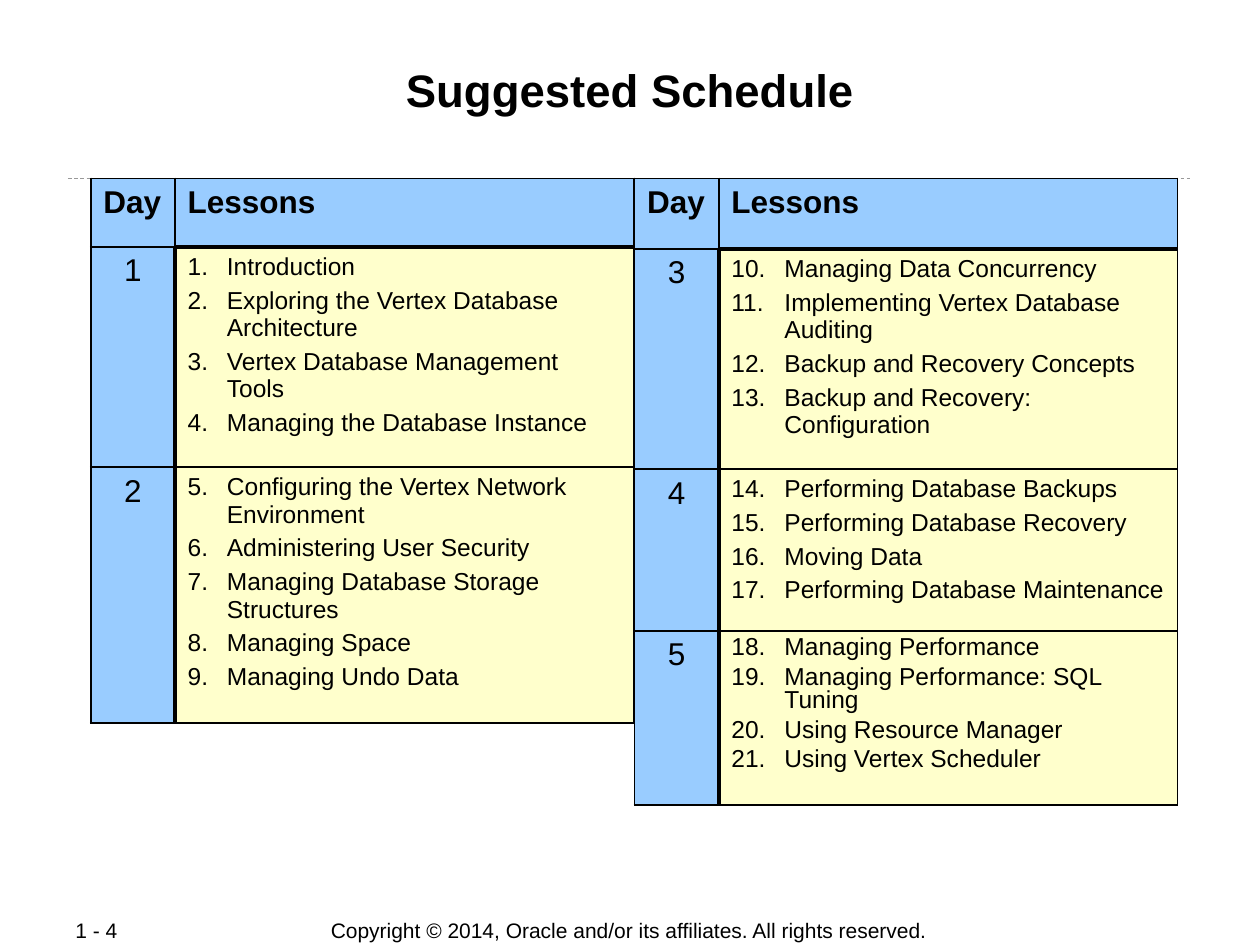
from lxml import etree
from pptx import Presentation
from pptx.dml.color import RGBColor
from pptx.enum.dml import MSO_LINE
from pptx.enum.shapes import MSO_CONNECTOR
from pptx.enum.text import MSO_ANCHOR, MSO_AUTO_SIZE, PP_ALIGN
from pptx.oxml.ns import qn
from pptx.util import Cm, Pt

CENTER, LEFT = PP_ALIGN.CENTER, PP_ALIGN.LEFT
TOP, MIDDLE = MSO_ANCHOR.TOP, MSO_ANCHOR.MIDDLE
NO_AUTOFIT = MSO_AUTO_SIZE.NONE
STRAIGHT, DASH = MSO_CONNECTOR.STRAIGHT, MSO_LINE.DASH

BLACK, GRAY, BLUE, YELLOW = "000000", "999999", "99CCFF", "FFFFCC"
THIN, THICK = Pt(1.08), Pt(2.21)
COLUMN_WIDTHS = (1.7, 9.25)

FIRST_HALF = [
    (1, 4.44, 1, [
        "Introduction",
        "Exploring the Vertex Database Architecture",
        "Vertex Database Management Tools",
        "Managing the Database Instance",
    ]),
    (2, 5.16, 1, [
        "Configuring the Vertex Network Environment",
        "Administering User Security",
        "Managing Database Storage Structures",
        "Managing Space",
        "Managing Undo Data",
    ]),
]
SECOND_HALF = [
    (3, 4.44, 1, [
        "Managing Data Concurrency",
        "Implementing Vertex Database Auditing",
        "Backup and Recovery Concepts",
        "Backup and Recovery: Configuration",
    ]),
    (4, 3.26, 1, [
        "Performing Database Backups",
        "Performing Database Recovery",
        "Moving Data",
        "Performing Database Maintenance",
    ]),
    (5, 3.51, 0.85, [
        "Managing Performance",
        "Managing Performance: SQL Tuning",
        "Using Resource Manager",
        "Using Vertex Scheduler",
    ]),
]


def color(hex_value):
    return RGBColor.from_string(hex_value)


def apply_format(target, values):
    for name, value in values.items():
        setattr(target, name, value)


def write(paragraph, text, size, bold=False, align=LEFT):
    paragraph.alignment = align
    run = paragraph.add_run()
    run.text = text
    apply_format(run.font, {"name": "Arial", "size": Pt(size), "bold": bold})
    run.font.color.rgb = color(BLACK)


def number_paragraph(paragraph, start, indent):
    properties = paragraph._p.get_or_add_pPr()
    properties.set("marL", str(Cm(indent)))
    properties.set("indent", str(-Cm(indent)))
    bullet_color = etree.SubElement(properties, qn("a:buClr"))
    etree.SubElement(bullet_color, qn("a:srgbClr"), val=BLACK)
    etree.SubElement(properties, qn("a:buFont"), typeface="Arial")
    etree.SubElement(properties, qn("a:buAutoNum"), type="arabicPeriod", startAt=str(start))


def set_borders(cell, widths):
    properties = cell._tc.get_or_add_tcPr()
    for position, side in enumerate("LRTB"):
        border = etree.Element(qn(f"a:ln{side}"), w=str(widths.get(side, THIN)))
        border_fill = etree.SubElement(border, qn("a:solidFill"))
        etree.SubElement(border_fill, qn("a:srgbClr"), val=BLACK)
        properties.insert(position, border)


def style_cell(cell, fill, **widths):
    cell.fill.solid()
    cell.fill.fore_color.rgb = color(fill)
    set_borders(cell, widths)


def add_lessons(cell, lessons, start, indent, spacing):
    for index, lesson in enumerate(lessons):
        paragraph = cell.text_frame.add_paragraph() if index else cell.text_frame.paragraphs[0]
        number_paragraph(paragraph, start, indent)
        write(paragraph, lesson, 14)
        if index:
            paragraph.space_before = Pt(3.5)
        if spacing != 1:
            paragraph.line_spacing = spacing


def add_schedule(slide, left, top, header_height, days, first_lesson, indent):
    heights = [header_height] + [height for _, height, _, _ in days]
    schedule = slide.shapes.add_table(
        len(heights), len(COLUMN_WIDTHS), Cm(left), Cm(top),
        Cm(sum(COLUMN_WIDTHS)), Cm(sum(heights)),
    ).table
    apply_format(schedule, {"first_row": False, "horz_banding": False})
    for column, width in zip(schedule.columns, COLUMN_WIDTHS):
        column.width = Cm(width)
    for row, height in zip(schedule.rows, heights):
        row.height = Cm(height)

    for column, heading in enumerate(("Day", "Lessons")):
        header = schedule.cell(0, column)
        write(header.text_frame.paragraphs[0], heading, 18, bold=True)
        style_cell(header, BLUE, B=THICK if column else THIN)

    start = first_lesson
    for row, (day, _, spacing, lessons) in enumerate(days, 1):
        day_cell, lesson_cell = schedule.cell(row, 0), schedule.cell(row, 1)
        write(day_cell.text_frame.paragraphs[0], str(day), 18, align=CENTER)
        style_cell(day_cell, BLUE, R=THICK)
        add_lessons(lesson_cell, lessons, start, indent, spacing)
        style_cell(lesson_cell, YELLOW, L=THICK, T=THICK if row == 1 else THIN)
        start += len(lessons)


def add_title(slide, left, top, width, height):
    title = slide.shapes.title
    apply_format(title, {"left": Cm(left), "top": Cm(top), "width": Cm(width), "height": Cm(height)})
    margins = {f"margin_{side}": Cm(0.03) for side in ("left", "top", "right", "bottom")}
    apply_format(title.text_frame, {
        **margins, "vertical_anchor": TOP, "word_wrap": True, "auto_size": NO_AUTOFIT,
    })
    write(title.text_frame.paragraphs[0], "Suggested Schedule", 26, bold=True, align=CENTER)


def add_rule(slide, left, top, width):
    rule = slide.shapes.add_connector(STRAIGHT, Cm(left), Cm(top), Cm(left + width), Cm(top))
    rule.line.color.rgb = color(GRAY)
    apply_format(rule.line, {"width": Pt(0.5), "dash_style": DASH})
    etree.SubElement(rule._element.spPr, qn("a:effectLst"))


def add_footer_text(slide, text, left, top, width, height, align, wrap):
    footer = slide.shapes.add_textbox(Cm(left), Cm(top), Cm(width), Cm(height))
    apply_format(footer.text_frame, {
        "vertical_anchor": MIDDLE, "word_wrap": wrap, "auto_size": NO_AUTOFIT,
    })
    write(footer.text_frame.paragraphs[0], text, 12, align=align)


def add_footer(slide, left, top, height):
    copyright_line = "Copyright © 2014, Oracle and/or its affiliates. All rights reserved."
    add_footer_text(slide, copyright_line, left + 5.71, top, 11.4, height, CENTER, False)
    add_footer_text(slide, "1 - 4", left, top, 2.69, height, LEFT, True)


def main():
    presentation = Presentation()
    apply_format(presentation, {"slide_width": Cm(25.4), "slide_height": Cm(19.05)})
    slide = presentation.slides.add_slide(presentation.slide_layouts[5])
    add_footer(slide, 1.27, 18.49, 0.52)
    add_rule(slide, 1.37, 3.6, 22.66)
    add_title(slide, 1.7, 1.22, 22, 2.44)
    add_schedule(slide, 1.83, 3.6, 1.38, FIRST_HALF, 1, 0.79)
    add_schedule(slide, 12.79, 3.6, 1.42, SECOND_HALF, 10, 1.07)
    presentation.save("out.pptx")


if __name__ == "__main__":
    main()
